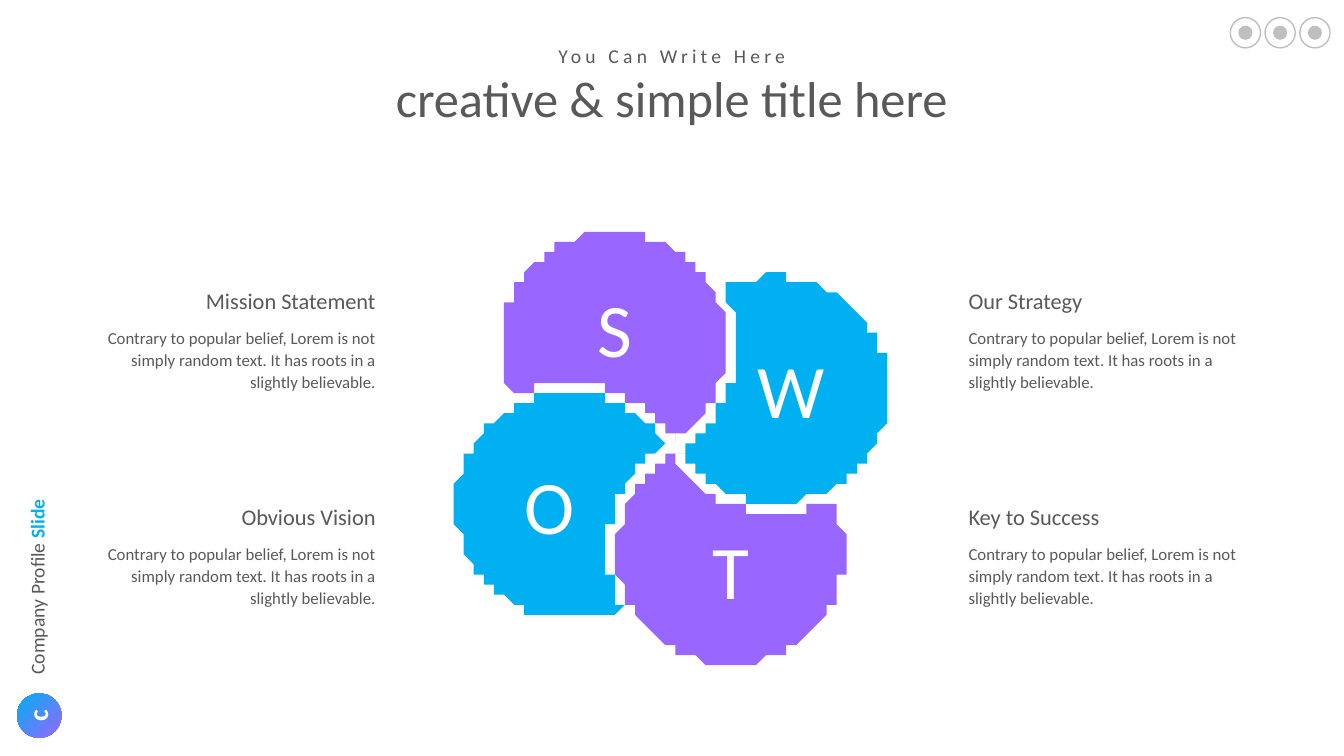
"""Builds a SWOT slide with four interlocking petals and four notes."""
from dataclasses import dataclass
from math import acos, atan2, cos, dist, pi, sin
from pptx import Presentation
from pptx.dml.color import RGBColor as Rgb
from pptx.enum.shapes import MSO_SHAPE as Kind
from pptx.enum.text import MSO_ANCHOR as Anchor, PP_ALIGN as Align
from pptx.util import Inches, Pt


@dataclass(frozen=True)
class Theme:
    face: str = "Calibri"
    ink: Rgb = Rgb.from_string("595959")
    sky: Rgb = Rgb.from_string("00B0F0")
    plum: Rgb = Rgb.from_string("9966FF")
    pale: Rgb = Rgb.from_string("BFBFBF")
    white: Rgb = Rgb.from_string("FFFFFF")
    huge: int = 54
    title: int = 36
    mark: int = 20
    head: int = 16
    label: int = 14
    body: int = 12


theme = Theme()
cell = Inches(0.1)
cols, rows = 133.33, 75

deck = Presentation()
deck.slide_width, deck.slide_height = int(cols * cell), int(rows * cell)
slide = deck.slides.add_slide(deck.slide_layouts[6])
shapes = slide.shapes


def write(frame, text, size, color, align=Align.LEFT, space=None):
    para = frame.paragraphs[0]
    para.alignment, para.line_spacing = align, space
    font = para.font
    font.name, font.size, font.color.rgb = theme.face, Pt(size), color
    para.add_run().text = text
    return para


def place(col, row, wide, high, text, size, color=theme.ink, align=Align.LEFT,
          space=None, wrap=True, anchor=Anchor.TOP, turn=0):
    box = shapes.add_textbox(*(int(n * cell) for n in (col, row, wide, high)))
    box.rotation = turn
    frame = box.text_frame
    frame.word_wrap, frame.vertical_anchor = wrap, anchor
    return write(frame, text, size, color, align, space)


hub_x, hub_y = cols / 2, 44.45
arm_x, arm_y = -5.8, -10.2
size, gap, steps = 11.25, 1, 90
bite = size + gap
sides = ("bottom", "left", "top", "right")
for num, (name, side) in enumerate(zip("SWTO", sides)):
    here = (hub_x + arm_x, hub_y + arm_y)
    near = (hub_x + arm_y, hub_y - arm_x)
    span = dist(here, near)
    aim = atan2(near[1] - here[1], near[0] - here[0])
    outer = acos((span**2 + size**2 - bite**2) / (2 * span * size))
    inner = acos((span**2 + bite**2 - size**2) / (2 * span * bite))
    arcs = ((here, size, aim + outer, 2 * (pi - outer)),
            (near, bite, aim + pi + inner, -2 * inner))
    edge = [(mid[0] + arm * cos(start + sweep * k / steps),
             mid[1] + arm * sin(start + sweep * k / steps))
            for mid, arm, start, sweep in arcs for k in range(steps + 1)]
    pen = shapes.build_freeform(*edge[0], scale=cell)
    pen.add_line_segments(edge[1:], close=True)
    petal = pen.convert_to_shape()
    petal.shadow.inherit = False
    petal.fill.solid()
    petal.fill.fore_color.rgb = theme.sky if num % 2 else theme.plum
    petal.line.fill.background()
    frame = petal.text_frame
    frame.vertical_anchor = Anchor.MIDDLE
    for each in sides:
        setattr(frame, f"margin_{each}", 2 * cell if each == side else 0)
    write(frame, name, theme.huge, theme.white, Align.CENTER)
    arm_x, arm_y = -arm_y, arm_x

story = ("Contrary to popular belief, Lorem is not simply random text. "
         "It has roots in a slightly believable.")
heads = (("Mission Statement", "Our Strategy"),
         ("Obvious Vision", "Key to Success"))
for tier, pair in enumerate(heads):
    top = 27.9 + 21.45 * tier
    for col, align, head in zip((7.45, 95.1), (Align.RIGHT, Align.LEFT), pair):
        place(col, top, 30.8, 3.7, head, theme.head, align=align,
              anchor=Anchor.BOTTOM)
        place(col, top + 3.9, 30.8, 7.7, story, theme.body, align=align,
              space=1.1)

lead = place(54.1, 3.9, 25.1, 3.4, "You Can Write Here", theme.label,
             align=Align.CENTER, wrap=False)
lead.runs[0]._r.get_or_add_rPr().set("spc", "300")
place(23.9, 6.8, 85.5, 6.5, "creative & simple title here", theme.title,
      align=Align.CENTER, space=0.9)

badge = shapes.add_shape(Kind.OVAL, *(int(n * cell) for n in (1.7, 68.8, 4.4, 4.4)))
badge.shadow.inherit = False
badge.line.fill.background()
badge.fill.gradient()
badge.fill.gradient_angle = 135
for stop, color in zip(badge.fill.gradient_stops, (theme.plum, theme.sky)):
    stop.color.rgb = color
place(2.1, 68.8, 3.2, 4.4, "c", theme.mark, theme.white, Align.CENTER,
      wrap=False, turn=270).font.bold = True
note = place(-6, 56.5, 19.4, 3.4, "Company Profile ", theme.label,
             wrap=False, turn=270)
word = note.add_run()
word.text = "Slide"
word.font.bold, word.font.color.rgb = True, theme.sky

for num in range(3):
    for wide in (3, 1.4):
        left, top = 123.55 + 3.45 * num - wide / 2, 3.25 - wide / 2
        disc = shapes.add_shape(Kind.OVAL, *(int(n * cell) for n in (left, top, wide, wide)))
        disc.shadow.inherit = False
        if wide == 3:
            disc.fill.background()
            disc.line.color.rgb, disc.line.width = theme.pale, Pt(1)
        else:
            disc.fill.solid()
            disc.fill.fore_color.rgb = theme.pale
            disc.line.fill.background()

deck.save("out.pptx")
